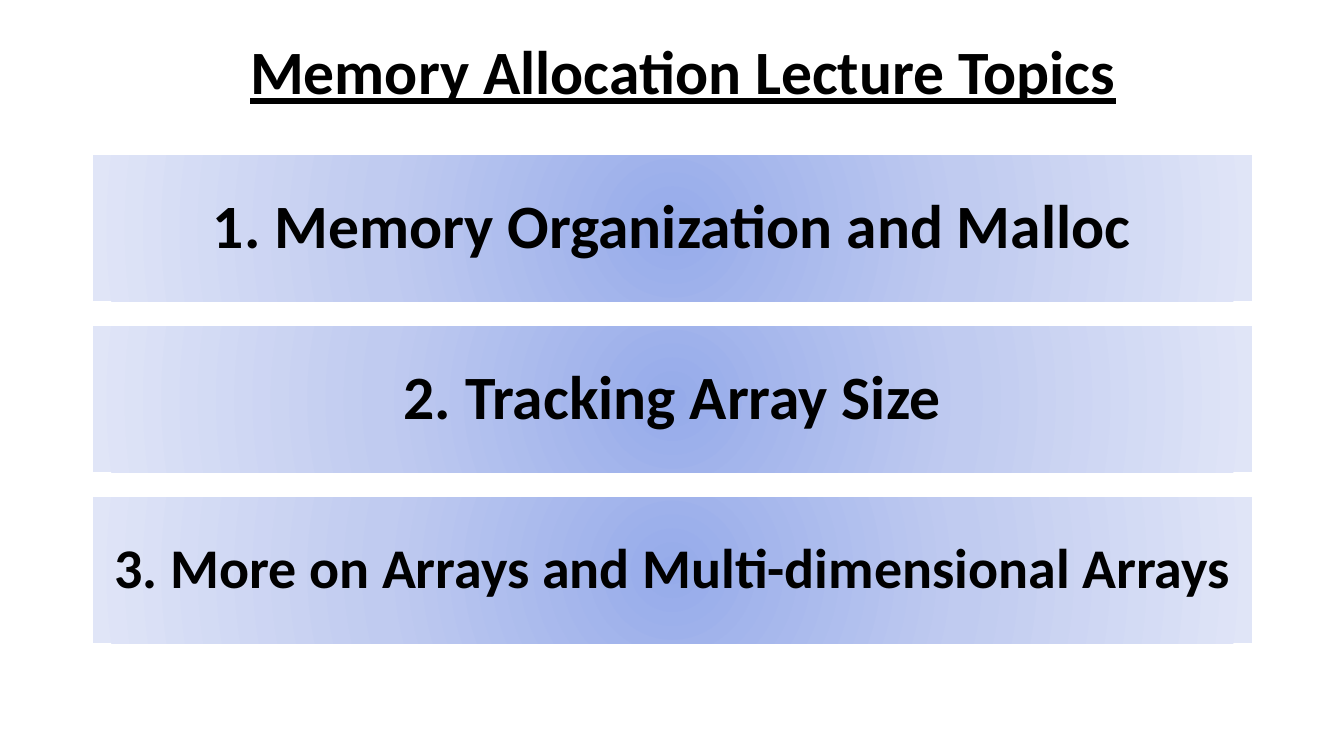
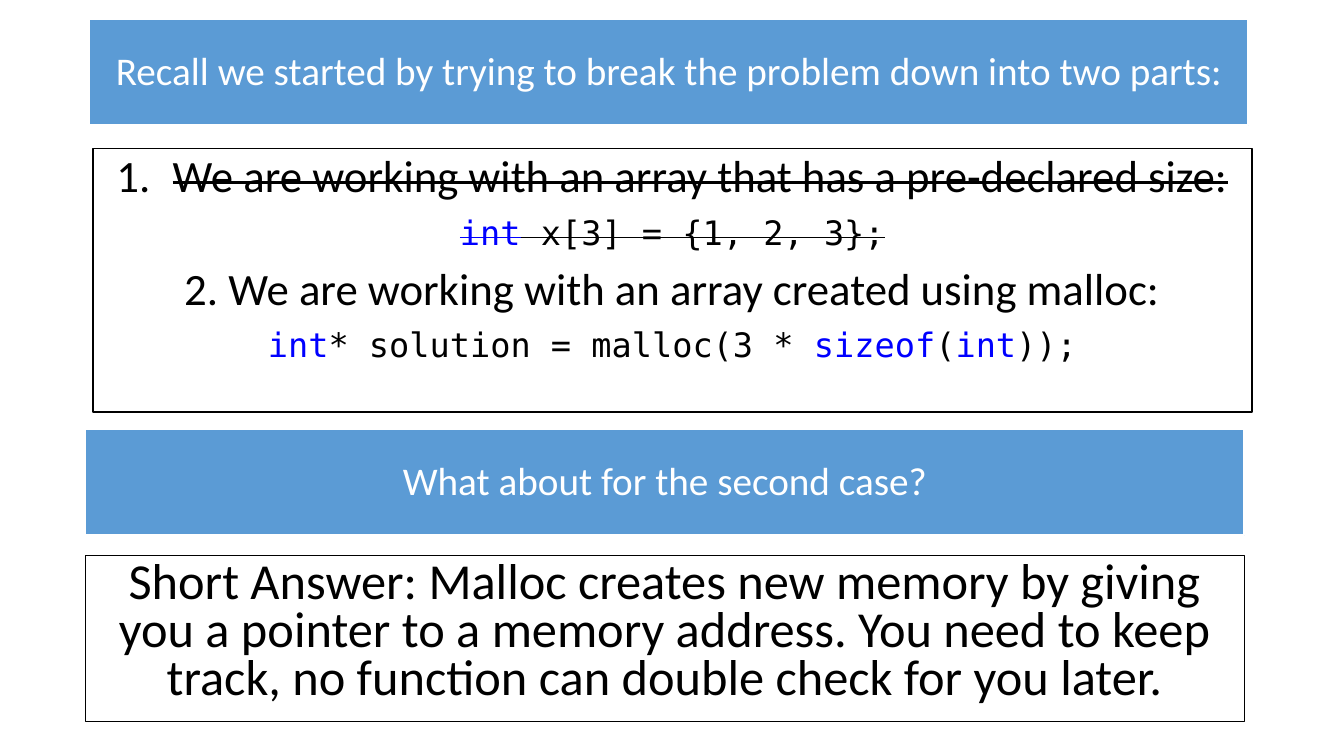
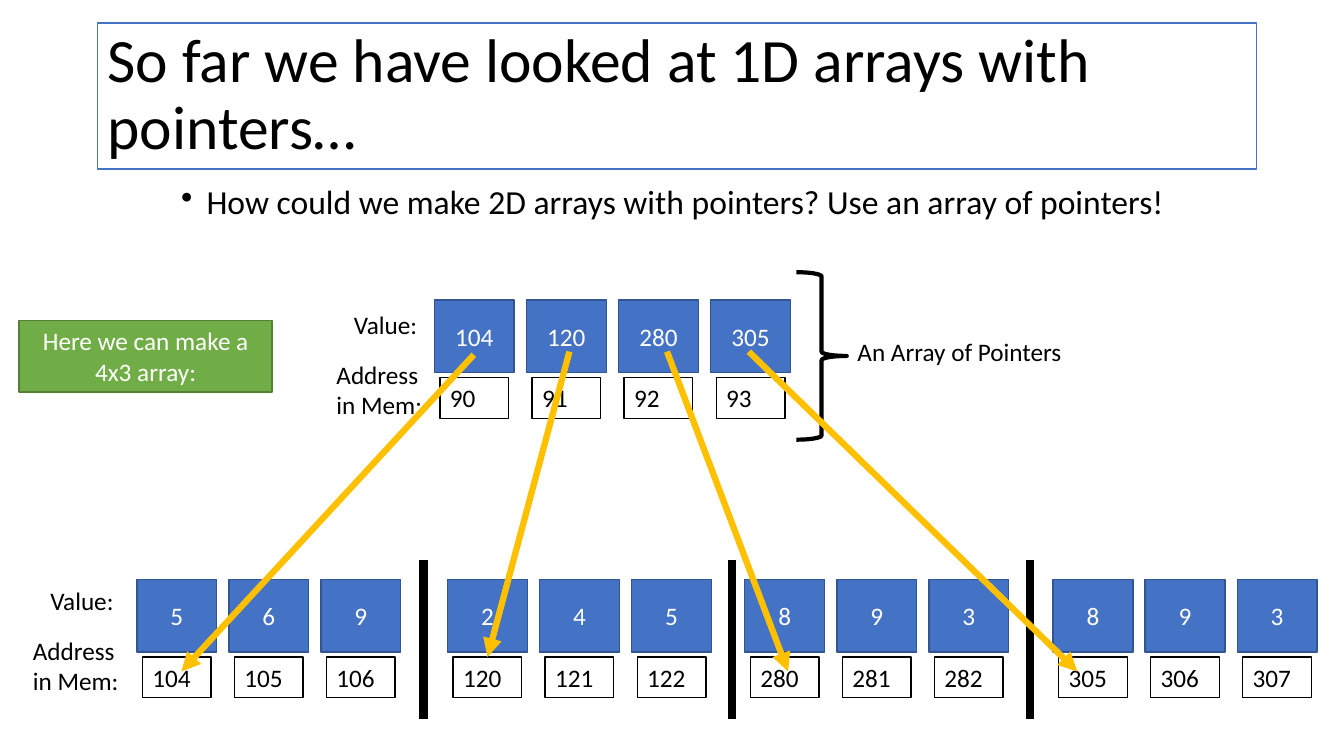
from lxml.etree import SubElement
from pptx import Presentation
from pptx.dml.color import RGBColor
from pptx.enum.shapes import MSO_CONNECTOR, MSO_SHAPE
from pptx.enum.text import MSO_ANCHOR, PP_ALIGN
from pptx.oxml import parse_xml
from pptx.oxml.ns import nsdecls, qn
from pptx.util import Cm, Pt

COLOURS = {
    "black": "000000", "white": "FFFFFF", "keyword": "0000FF",
    "band": "5B9BD5", "cell": "4472C4", "cell_edge": "325491",
    "green": "70AD47", "green_edge": "538035", "arrow": "FFC000",
    "glow_inner": "96ABEA", "glow_middle": "C0CBF0", "glow_outer": "E0E5F7",
}
BODY_FONT = "Calibri"
CODE_FONT = "DejaVu Sans Mono"
PANEL_WIDTH = 29.21
CELL_PITCH = 2.32
CELL_SIZE = (2.01, 1.83)
ADDRESS_SIZE = (1.73, 1.02)
ADDRESS_OFFSET = (0.14, 1.96)


def rgb(name):
    return RGBColor.from_string(COLOURS[name])


def add_box(page, box, fill=None, line=None, width=1, preset=MSO_SHAPE.RECTANGLE):
    shape = page.shapes.add_shape(preset, *map(Cm, box))
    shape.shadow.inherit = False
    if fill:
        shape.fill.solid()
        shape.fill.fore_color.rgb = rgb(fill)
    else:
        shape.fill.background()
    if line:
        shape.line.color.rgb = rgb(line)
        shape.line.width = Pt(width)
    else:
        shape.line.fill.background()
    return shape


def style_span(span, size, colour="black", font=BODY_FONT, bold=False, underline=False, strike=False):
    span.font.name = font
    span.font.size = Pt(size)
    span.font.color.rgb = rgb(colour)
    span.font.bold = bold
    span.font.underline = underline
    if strike:
        span._r.get_or_add_rPr().set("strike", "sngStrike")


def add_bullet(para, indent, tag, **attributes):
    properties = para._p.get_or_add_pPr()
    properties.set("marL", str(Cm(indent)))
    properties.set("indent", str(-Cm(indent)))
    SubElement(properties, qn(tag), **attributes)


def write(shape, text, size, align=PP_ALIGN.CENTER, anchor=MSO_ANCHOR.MIDDLE, spacing=1.0, **style):
    frame = shape.text_frame
    frame.word_wrap = True
    frame.vertical_anchor = anchor
    frame.text = text
    para = frame.paragraphs[0]
    para.alignment = align
    para.line_spacing = spacing
    for span in para.runs:
        style_span(span, size, **style)
    return para


def add_text(page, box, text, size=18, align=PP_ALIGN.LEFT, **style):
    shape = page.shapes.add_textbox(*map(Cm, box))
    return write(shape, text, size, align, MSO_ANCHOR.TOP, **style)


def add_line(page, start, end, colour, width, arrow=False):
    line = page.shapes.add_connector(MSO_CONNECTOR.STRAIGHT, *map(Cm, start + end))
    line.line.color.rgb = rgb(colour)
    line.line.width = Pt(width)
    if arrow:
        SubElement(line.line._get_or_add_ln(), qn("a:tailEnd"), type="triangle")
    SubElement(line._element.spPr, qn("a:effectLst"))
    return line


def add_glow_bar(page, box, text, size):
    bar = add_box(page, box)
    stops = ((0, "glow_inner"), (50000, "glow_middle"), (100000, "glow_outer"))
    stop_xml = "".join(
        f'<a:gs pos="{position}"><a:srgbClr val="{COLOURS[name]}"/></a:gs>' for position, name in stops
    )
    glow = parse_xml(
        f'<a:gradFill {nsdecls("a")} rotWithShape="1"><a:gsLst>{stop_xml}</a:gsLst>'
        '<a:path path="circle"><a:fillToRect l="50000" t="50000" r="50000" b="50000"/></a:path></a:gradFill>'
    )
    properties = bar._element.spPr
    properties.replace(properties.find(qn("a:noFill")), glow)
    write(bar, text, size, spacing=0.9, bold=True)


def add_band(page, left, top, text):
    band = add_box(page, (left, top, PANEL_WIDTH, 2.67), "band", "white", 1.5)
    write(band, text, 28, spacing=0.9, colour="white")


def add_cases(page, box):
    panel = add_box(page, box, "white", "black")
    first = write(panel, "We are working with an array that has a pre-declared size:", 32,
                  anchor=MSO_ANCHOR.TOP, spacing=0.9, strike=True)
    add_bullet(first, 1.42, "a:buAutoNum", type="arabicPeriod")
    prose = {"size": 32}
    code = {"size": 24, "font": CODE_FONT}
    struck = {**code, "strike": True}
    keyword = {**code, "colour": "keyword"}
    lines = (
        (("int", {**keyword, "strike": True}), (" x[3] = {1, 2, 3};", struck)),
        (("2. We are working with an array created using malloc:", prose),),
        (("int", keyword), ("* solution = malloc(3 * ", code), ("sizeof", keyword),
         ("(", code), ("int", keyword), ("));", code)),
    )
    for line in lines:
        para = panel.text_frame.add_paragraph()
        para.alignment = PP_ALIGN.CENTER
        para.line_spacing = 0.9
        para.space_before = Pt(10)
        for text, style in line:
            span = para.add_run()
            span.text = text
            style_span(span, **style)


def add_memory_row(page, left, top, values, first_address):
    addresses = []
    for index, value in enumerate(values):
        x = left + index * CELL_PITCH
        cell = add_box(page, (x, top, *CELL_SIZE), "cell", "cell_edge")
        write(cell, str(value), 18, colour="white")
        place = (x + ADDRESS_OFFSET[0], top + ADDRESS_OFFSET[1], *ADDRESS_SIZE)
        address = add_box(page, place, "white", "black")
        write(address, str(first_address + index), 18, PP_ALIGN.LEFT, MSO_ANCHOR.TOP)
        addresses.append(address)
    return addresses


def add_row_labels(page, left, top):
    add_text(page, (left + 0.44, top, 3, 1.02), "Value:")
    add_text(page, (left, top + 1.26, 3.07, 1.8), "Address in Mem:")


def build_topics(page):
    topics = (
        ("1. Memory Organization and Malloc", 44),
        ("2. Tracking Array Size", 44),
        ("3. More on Arrays and Multi-dimensional Arrays", 40),
    )
    for index, (topic, size) in enumerate(topics):
        add_glow_bar(page, (2.34, 3.91 + index * 4.31, PANEL_WIDTH, 3.68), topic, size)
    add_text(page, (5.97, 0.71, 22.5, 2.13), "Memory Allocation Lecture Topics", 44,
             PP_ALIGN.CENTER, bold=True, underline=True)


def build_recall(page):
    add_cases(page, (2.34, 3.75, PANEL_WIDTH, 6.63))
    add_band(page, 2.25, 0.49, "Recall we started by trying to break the problem down into two parts:")
    add_band(page, 2.15, 10.91 - 0.09, "What about for the second case?")
    answer = add_box(page, (2.15, 14, PANEL_WIDTH, 4.19), "white", "black")
    write(answer, "Short Answer: Malloc creates new memory by giving you a pointer to a memory address. "
          "You need to keep track, no function can double check for you later.", 36,
          anchor=MSO_ANCHOR.TOP, spacing=0.8)


def build_pointers(page):
    title = add_box(page, (2.46, 0.58, PANEL_WIDTH, 3.68), "white", "cell")
    write(title, "So far we have looked at 1D arrays with pointers…", 44, PP_ALIGN.LEFT, spacing=0.9)
    question = add_text(page, (2.34, 4.55, PANEL_WIDTH, 2.64),
                        "How could we make 2D arrays with pointers? Use an array of pointers!", 24,
                        PP_ALIGN.CENTER, spacing=0.9)
    add_bullet(question, 0.64, "a:buChar", char="•")

    add_memory_row(page, 10.95, 7.56, (104, 120, 280, 305), 90)
    rows = (
        (3.45, (5, 6, 9), 104), (11.28, (2, 4, 5), 120),
        (18.77, (8, 9, 3), 280), (26.54, (8, 9, 3), 305),
    )
    targets = [add_memory_row(page, left, 14.6, values, address)[0] for left, values, address in rows]
    add_row_labels(page, 8.23, 7.66)
    add_row_labels(page, 0.58, 14.62)

    for x in (10.67, 18.44, 25.96):
        add_line(page, (x, 14.12), (x, 18.11), "black", 6)
    add_box(page, (20.07, 6.86, 1.27, 4.22), line="black", width=3, preset=MSO_SHAPE.RIGHT_BRACE)
    add_text(page, (21.36, 8.36, 7.06, 1.02), "An Array of Pointers")

    arrows = (
        ((11.94, 8.94), (4.57, 16.92)), ((14.35, 8.86), (12.24, 16.56)),
        ((16.81, 8.86), (19.86, 16.92)), ((18.87, 8.86), (27.15, 16.92)),
    )
    pointers = [add_line(page, start, end, "arrow", 4.5, arrow=True) for start, end in arrows]
    pointers[1].end_connect(targets[1], 0)

    note = add_box(page, (0.48, 8.08, 6.38, 1.8), "green", "green_edge")
    write(note, "Here we can make a 4x3 array:", 18, anchor=MSO_ANCHOR.TOP, colour="white")


def main():
    deck = Presentation()
    deck.slide_width, deck.slide_height = Cm(33.87), Cm(19.05)
    for build in (build_topics, build_recall, build_pointers):
        build(deck.slides.add_slide(deck.slide_layouts[6]))
    deck.save("out.pptx")


if __name__ == "__main__":
    main()
